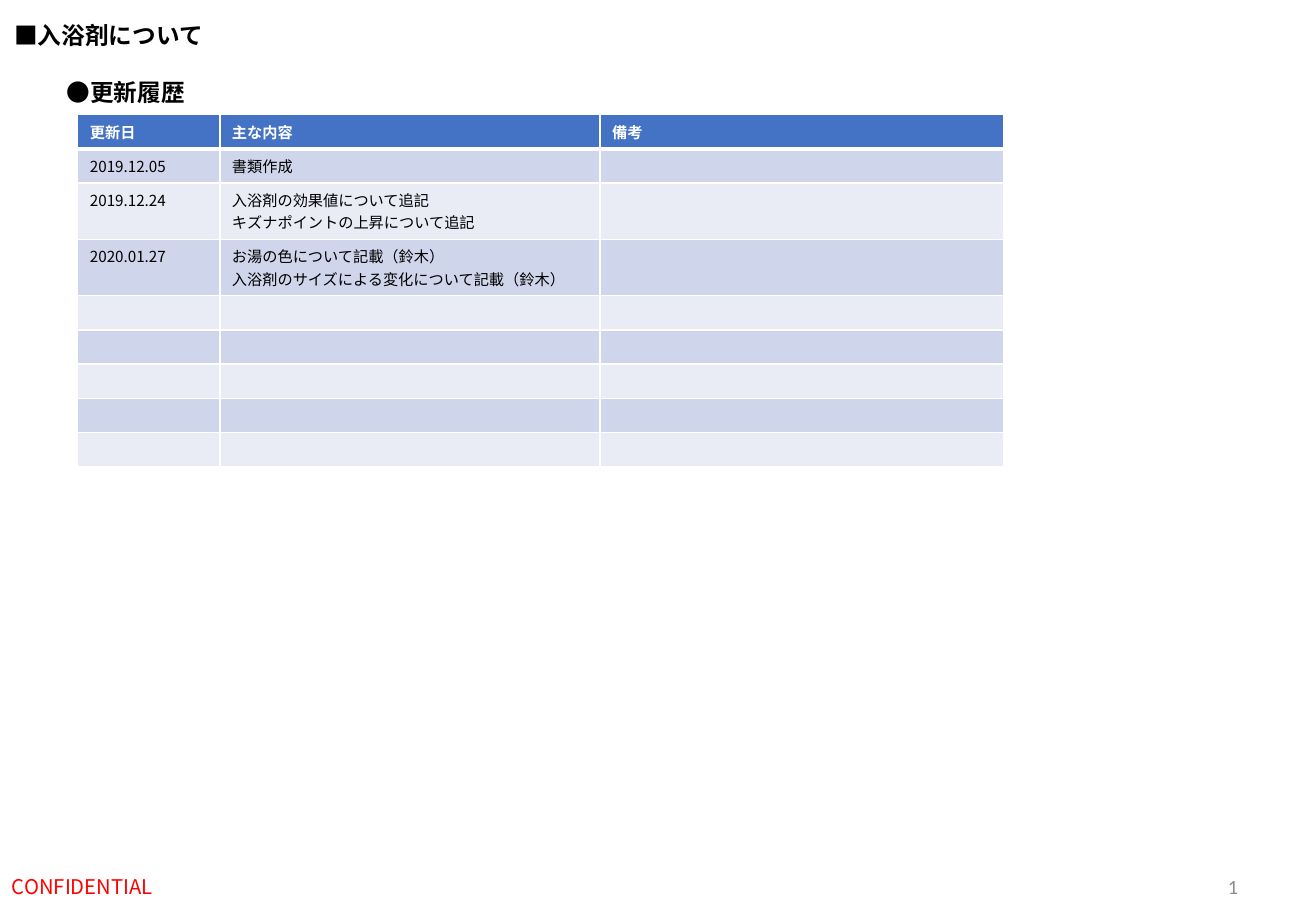
from lxml import etree
from pptx import Presentation
from pptx.dml.color import RGBColor
from pptx.enum import text
from pptx.oxml.ns import qn
from pptx.util import Pt

HISTORY = [
    ("更新日", "主な内容", "備考"),
    ("2019.12.05", "書類作成", ""),
    ("2019.12.24", "入浴剤の効果値について追記\nキズナポイントの上昇について追記", ""),
    ("2020.01.27", "お湯の色について記載（鈴木）\n入浴剤のサイズによる変化について記載（鈴木）", ""),
] + [("", "", "")] * 5
COLUMN_WIDTHS = (84.2, 225.4, 239)
LINE_HEIGHT = 13
ROW_PADDING = 7.3


def color(value):
    return RGBColor.from_string(value)


class Page:
    japanese = "Noto Sans CJK JP"
    header_fill = "4472C4"
    band_fills = ("CFD5EA", "E9EBF5")
    border = "FFFFFF"

    def __init__(self, slide):
        self.slide = slide

    def set_words(self, frame, words, size, ink="000000", bold=False, face=japanese,
                  align=text.PP_ALIGN.LEFT):
        frame.text = words
        for paragraph in frame.paragraphs:
            paragraph.alignment = align
            font = paragraph.font
            font.size, font.bold, font.name = Pt(size), bold, face
            font.color.rgb = color(ink)
            defaults = paragraph._p.pPr.find(qn("a:defRPr"))
            etree.SubElement(defaults, qn("a:ea"), typeface=face)
            if not paragraph.runs:
                etree.SubElement(paragraph._p, qn("a:endParaRPr"), sz=str(size * 100))

    def label(self, words, left, top, width, height, size, wrap=True,
              anchor=text.MSO_ANCHOR.MIDDLE, **style):
        box = self.slide.shapes.add_textbox(Pt(left), Pt(top), Pt(width), Pt(height))
        box.text_frame.word_wrap = wrap
        box.text_frame.vertical_anchor = anchor
        self.set_words(box.text_frame, words, size, **style)

    def heading(self, words, left, top, width):
        self.label(words, left, top, width, 24.5, 14, wrap=False,
                   anchor=text.MSO_ANCHOR.TOP, bold=True)

    def edge(self, cell, side, width):
        line = etree.SubElement(cell._tc.get_or_add_tcPr(), qn("a:ln" + side), w=str(Pt(width)))
        fill = etree.SubElement(line, qn("a:solidFill"))
        etree.SubElement(fill, qn("a:srgbClr"), val=self.border)

    def table(self, rows, left, top, widths):
        """Draw a table with a header row and banded rows below it."""
        heights = [ROW_PADDING + LINE_HEIGHT * (1 + max(words.count("\n") for words in row))
                   for row in rows]
        grid = self.slide.shapes.add_table(len(rows), len(widths), Pt(left), Pt(top),
                                           Pt(sum(widths)), Pt(sum(heights))).table
        for column, width in zip(grid.columns, widths):
            column.width = Pt(width)
        for r, row in enumerate(rows):
            grid.rows[r].height = Pt(heights[r])
            is_header = r == 0
            fill = self.header_fill if is_header else self.band_fills[(r - 1) % 2]
            for c, words in enumerate(row):
                cell = grid.cell(r, c)
                for side, width in (("L", 1), ("R", 1), ("T", 3 if r == 1 else 1),
                                    ("B", 3 if is_header else 1)):
                    self.edge(cell, side, width)
                cell.fill.solid()
                cell.fill.fore_color.rgb = color(fill)
                self.set_words(cell.text_frame, words, 9, bold=is_header,
                               ink="FFFFFF" if is_header else "000000")


def main():
    deck = Presentation()
    deck.slide_width, deck.slide_height = Pt(780), Pt(540)
    page = Page(deck.slides.add_slide(deck.slide_layouts[6]))
    page.table(HISTORY, 46.1, 67.9, COLUMN_WIDTHS)
    page.heading("■入浴剤について", 1.4, 8.6, 127.4)
    page.heading("●更新履歴", 32.4, 42.5, 85)
    page.label("CONFIDENTIAL", 0, 511.2, 243.4, 28.8, 12, ink="FF0000")
    page.label("1", 578.9, 511.2, 162, 28.8, 12, ink="8C8C8C", face="Calibri",
               align=text.PP_ALIGN.RIGHT)
    deck.save("out.pptx")


if __name__ == "__main__":
    main()
